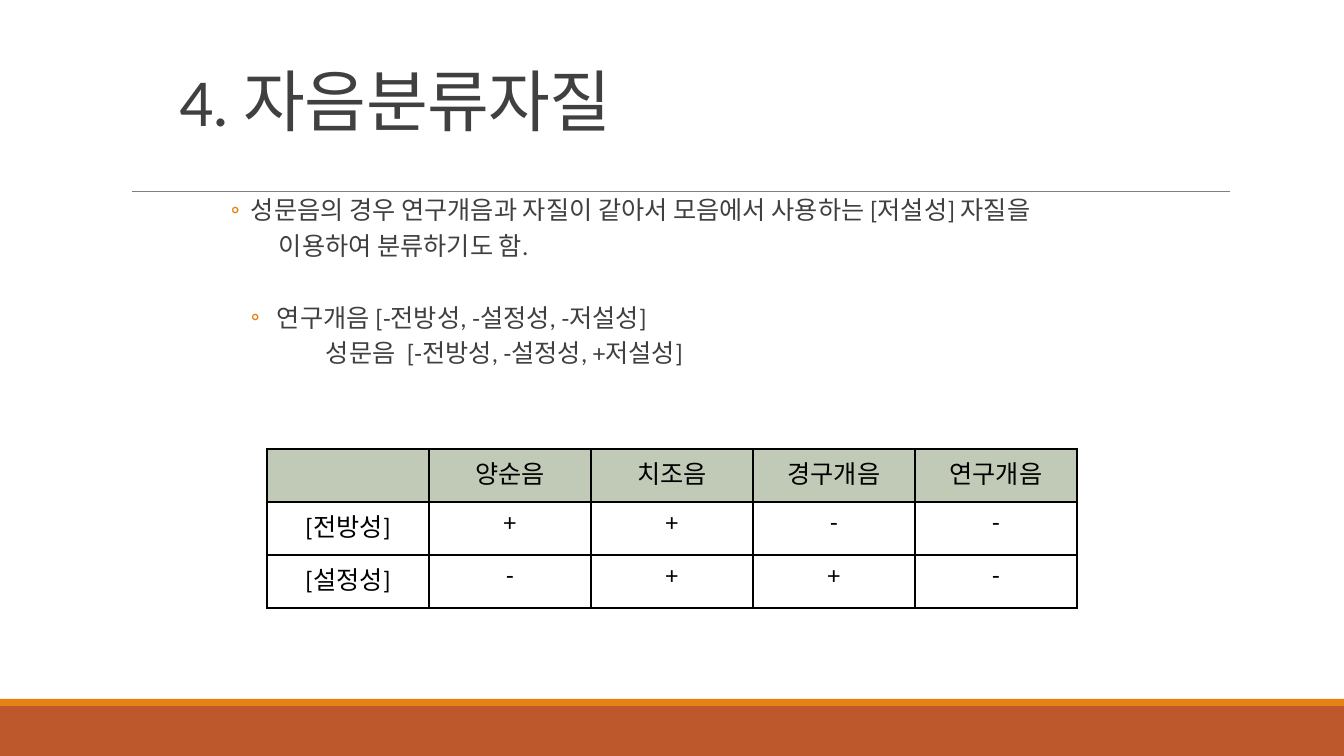
from lxml.etree import SubElement
from pptx import Presentation
from pptx.dml.color import RGBColor
from pptx.enum.shapes import MSO_CONNECTOR as CONN, MSO_SHAPE as SHAPE
from pptx.enum.text import MSO_ANCHOR as ANCHOR, PP_ALIGN as ALIGN
from pptx.oxml.ns import qn
from pptx.util import Pt

FONT = "Calibri"
BLACK = RGBColor(0x00, 0x00, 0x00)
DARK = RGBColor(0x40, 0x40, 0x40)
GRAY = RGBColor(0x80, 0x80, 0x80)
ORANGE = RGBColor(0xE4, 0x83, 0x12)
RUST = RGBColor(0xBD, 0x58, 0x2C)
SAGE = RGBColor(0xC1, 0xCA, 0xB6)

TITLE = "4. 자음분류자질"
BANDS = [(706, 50, RUST), (699, 7, ORANGE)]
# text, left margin, hanging indent, space after
BODY = [
    ("성문음의 경우 연구개음과 자질이 같아서 모음에서 사용하는 [저설성] 자질을", 83, 20, 4),
    ("이용하여 분류하기도 함.", 111, 0, 29.7),
    ("연구개음 [-전방성, -설정성, -저설성]", 109, 26, 4),
    ("성문음  [-전방성, -설정성, +저설성]", 158, 0, 4),
]
TABLE = [
    ["", "양순음", "치조음", "경구개음", "연구개음"],
    ["[전방성]", "+", "+", "-", "-"],
    ["[설정성]", "-", "+", "+", "-"],
]
COL_W, ROW_H = 162, 53


def px(n):
    return round(n * 914400 / 100.8)


def add_run(p, text, size, color):
    r = p.add_run()
    r.text = text
    r.font.name, r.font.size = FONT, Pt(size)
    r.font.color.rgb = color
    return r


def add_bullet(pPr, left, hang):
    pPr.set("marL", str(px(left)))
    pPr.set("indent", str(-px(hang)))
    if hang:
        clr = SubElement(pPr, qn("a:buClr"))
        SubElement(clr, qn("a:srgbClr"), val=str(ORANGE))
        SubElement(pPr, qn("a:buFont"), typeface=FONT)
        SubElement(pPr, qn("a:buChar"), char="◦")
    else:
        SubElement(pPr, qn("a:buNone"))


def add_borders(cell):
    tcPr = cell._tc.get_or_add_tcPr()
    for i, side in enumerate(("lnL", "lnR", "lnT", "lnB")):
        ln = tcPr.makeelement(qn(f"a:{side}"), {"w": str(Pt(1))})
        fill = SubElement(ln, qn("a:solidFill"))
        SubElement(fill, qn("a:srgbClr"), val=str(BLACK))
        tcPr.insert(i, ln)


prs = Presentation()
prs.slide_width, prs.slide_height = px(1344), px(756)
s = prs.slides.add_slide(prs.slide_layouts[5])

for top, height, color in BANDS:
    sp = s.shapes.add_shape(SHAPE.RECTANGLE, 0, px(top), px(1344), px(height))
    sp.shadow.inherit = False
    sp.fill.solid()
    sp.fill.fore_color.rgb = color
    sp.line.fill.background()

rule = s.shapes.add_connector(CONN.STRAIGHT, px(132), px(191), px(1230), px(191))
rule.line.color.rgb, rule.line.width = GRAY, Pt(0.5)
SubElement(rule._element.spPr, qn("a:effectLst"))

title = s.shapes.title
title.left, title.top, title.width, title.height = px(169), px(36), px(907), px(109)
tf = title.text_frame
tf.word_wrap, tf.vertical_anchor = True, ANCHOR.BOTTOM
p = tf.paragraphs[0]
p.alignment, p.line_spacing = ALIGN.LEFT, 0.85
r = add_run(p, TITLE, 48, DARK)
r.font._element.set("spc", "-50")

tf = s.shapes.add_textbox(px(168), px(193), px(1008), px(190)).text_frame
tf.word_wrap = True
tf.margin_left = tf.margin_right = 0
tf.margin_top = tf.margin_bottom = px(5)
for i, (text, left, hang, after) in enumerate(BODY):
    p = tf.add_paragraph() if i else tf.paragraphs[0]
    p.line_spacing, p.space_before, p.space_after = 0.9, Pt(2), Pt(after)
    add_bullet(p._p.get_or_add_pPr(), left, hang)
    add_run(p, text, 18, DARK)

n_rows, n_cols = len(TABLE), len(TABLE[0])
table = s.shapes.add_table(n_rows, n_cols, px(267), px(449),
                           px(COL_W * n_cols), px(ROW_H * n_rows)).table
for col in table.columns:
    col.width = px(COL_W)
for i, row in enumerate(TABLE):
    table.rows[i].height = px(ROW_H)
    for j, text in enumerate(row):
        cell = table.cell(i, j)
        if i == 0:
            cell.fill.solid()
            cell.fill.fore_color.rgb = SAGE
        else:
            cell.fill.background()
        add_borders(cell)
        if text:
            p = cell.text_frame.paragraphs[0]
            p.alignment = ALIGN.CENTER
            add_run(p, text, 18, BLACK).font.bold = False

prs.save("out.pptx")
